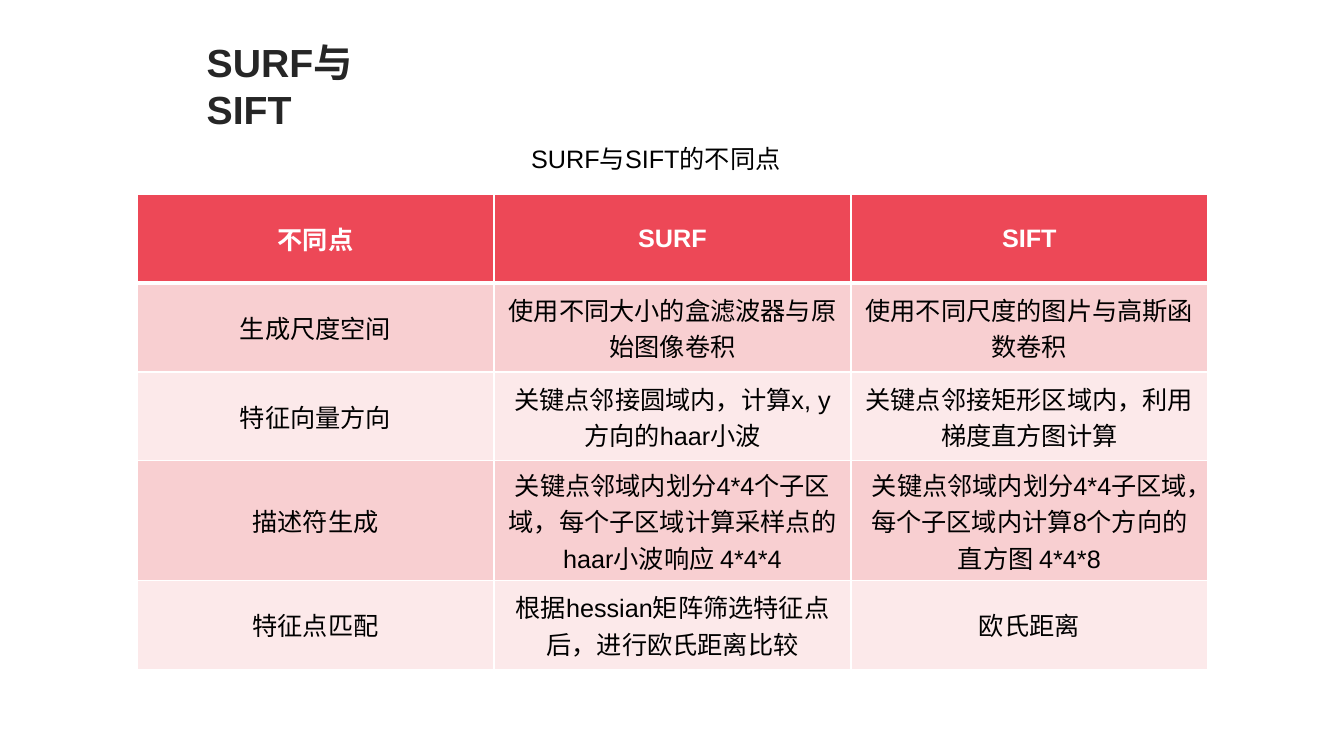
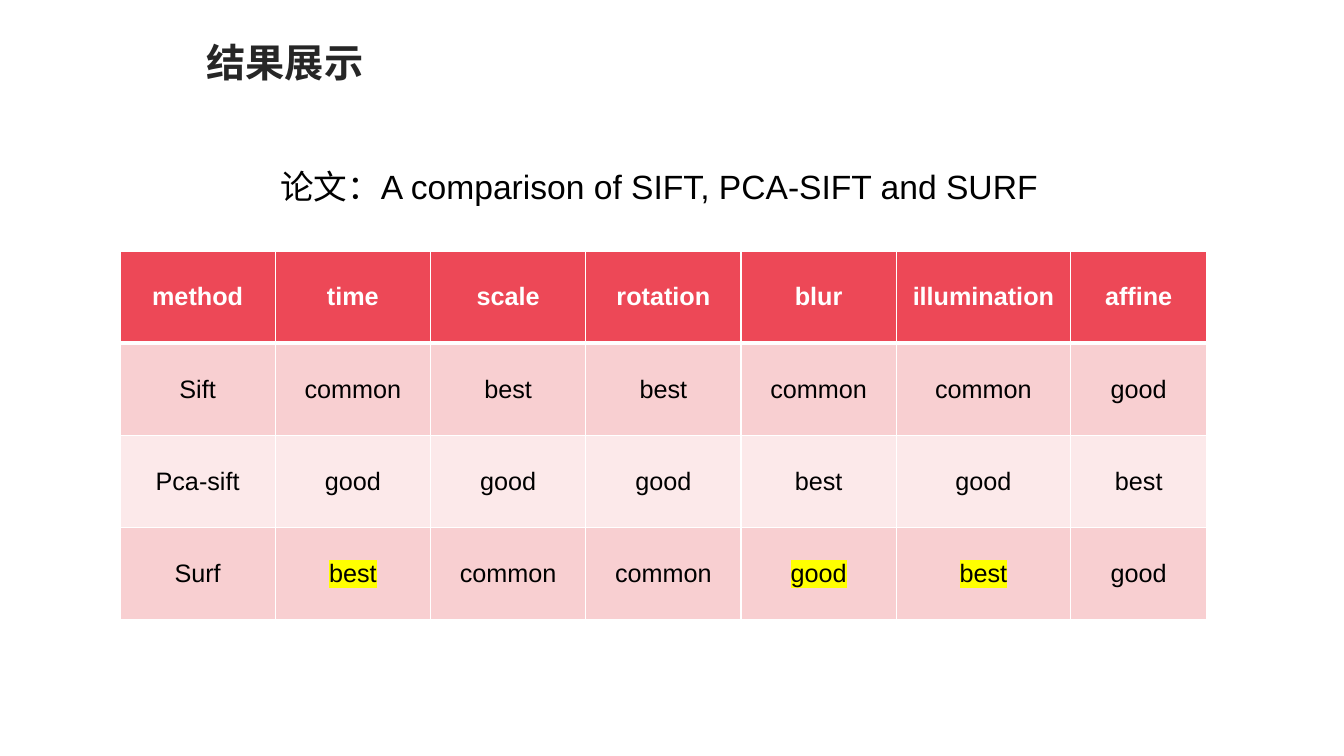
from dataclasses import dataclass

from lxml import etree
from pptx import Presentation
from pptx.dml.color import RGBColor
from pptx.enum.lang import MSO_LANGUAGE_ID
from pptx.enum.text import MSO_ANCHOR, MSO_AUTO_SIZE, PP_ALIGN
from pptx.oxml.ns import qn
from pptx.util import Inches, Pt

LEFT, CENTER = PP_ALIGN.LEFT, PP_ALIGN.CENTER
TOP, MIDDLE = MSO_ANCHOR.TOP, MSO_ANCHOR.MIDDLE
NO_FIT = MSO_AUTO_SIZE.NONE
CHINESE = MSO_LANGUAGE_ID.SIMPLIFIED_CHINESE
TITLE_ONLY = 5


@dataclass(frozen=True)
class Theme:
    font: str = "Arial"
    title_ink: str = "262626"
    ink: str = "000000"
    white: str = "FFFFFF"
    header: str = "ED4857"
    bands: tuple = ("F8CFD1", "FCE9EA")
    marker: str = "FFFF00"
    title_size: int = 28
    paper_size: int = 24
    body_size: int = 18
    thin: int = 1
    thick: int = 3


THEME = Theme()
TITLE_BOX = (1.95, 0.33, 1.77, 1.05)

DIFFERENCES = [
    ["不同点", "SURF", "SIFT"],
    ["生成尺度空间", "使用不同大小的盒滤波器与原始图像卷积",
     "使用不同尺度的图片与高斯函数卷积"],
    ["特征向量方向", "关键点邻接圆域内，计算x, y方向的haar小波",
     "关键点邻接矩形区域内，利用梯度直方图计算"],
    ["描述符生成", "关键点邻域内划分4*4个子区域，每个子区域计算采样点的haar小波响应 4*4*4",
     "关键点邻域内划分4*4子区域，每个子区域内计算8个方向的直方图 4*4*8"],
    ["特征点匹配", "根据hessian矩阵筛选特征点后，进行欧氏距离比较", "欧氏距离"],
]
RESULTS = [
    ["method", "time", "scale", "rotation", "blur", "illumination", "affine"],
    ["Sift", "common", "best", "best", "common", "common", "good"],
    ["Pca-sift", "good", "good", "good", "best", "good", "best"],
    ["Surf", "best", "common", "common", "good", "best", "good"],
]
HIGHLIGHTED = {(3, 1), (3, 4), (3, 5)}


def write(frame, text, size, color, bold=False, align=LEFT):
    """Fill a text frame with one formatted run and return the run."""
    para = frame.paragraphs[0]
    para.alignment = align
    span = para.add_run()
    span.text = text
    formats = {"name": THEME.font, "size": Pt(size), "bold": bold,
               "language_id": CHINESE}
    for name, value in formats.items():
        setattr(span.font, name, value)
    span.font.color.rgb = RGBColor.from_string(color)
    return span


def set_frame(frame):
    for name, value in {"word_wrap": True, "auto_size": NO_FIT,
                        "vertical_anchor": TOP,
                        "margin_left": Inches(0.1), "margin_right": Inches(0.1),
                        "margin_top": Inches(0.05),
                        "margin_bottom": Inches(0.05)}.items():
        setattr(frame, name, value)


def add_title(page, text):
    title = page.shapes.title
    for name, value in zip(("left", "top", "width", "height"), TITLE_BOX):
        setattr(title, name, Inches(value))
    set_frame(title.text_frame)
    write(title.text_frame, text, THEME.title_size, THEME.title_ink, bold=True)


def add_caption(page, box, text, size):
    caption = page.shapes.add_textbox(*map(Inches, box))
    set_frame(caption.text_frame)
    write(caption.text_frame, text, size, THEME.ink)


def add_color(parent, color):
    etree.SubElement(parent, qn("a:srgbClr"), val=color)


def set_borders(cell, row):
    """White rules, heavier between the header and the body."""
    heavy = {(0, "B"), (1, "T")}
    properties = cell._tc.get_or_add_tcPr()
    for side in "LRTB":
        width = THEME.thick if (row, side) in heavy else THEME.thin
        line = etree.SubElement(properties, qn(f"a:ln{side}"), w=str(Pt(width)))
        add_color(etree.SubElement(line, qn("a:solidFill")), THEME.white)


def highlight(span):
    marker = etree.Element(qn("a:highlight"))
    add_color(marker, THEME.marker)
    span._r.get_or_add_rPr().find(qn("a:solidFill")).addnext(marker)


def add_grid(page, origin, rows, widths, heights, marked=()):
    left, top = origin
    box = (left, top, sum(widths), sum(heights))
    table = page.shapes.add_table(len(rows), len(widths),
                                  *map(Inches, box)).table
    table.horz_banding = False
    for column, width in zip(table.columns, widths):
        column.width = Inches(width)
    for line, height in zip(table.rows, heights):
        line.height = Inches(height)
    for row, texts in enumerate(rows):
        is_header = row == 0
        fill = THEME.header if is_header else THEME.bands[(row - 1) % 2]
        ink = THEME.white if is_header else THEME.ink
        for column, text in enumerate(texts):
            cell = table.cell(row, column)
            cell.vertical_anchor = MIDDLE
            set_borders(cell, row)
            cell.fill.solid()
            cell.fill.fore_color.rgb = RGBColor.from_string(fill)
            span = write(cell.text_frame, text, THEME.body_size, ink,
                         is_header, CENTER)
            if (row, column) in marked:
                highlight(span)


def add_page(deck, title):
    page = deck.slides.add_slide(deck.slide_layouts[TITLE_ONLY])
    add_title(page, title)
    return page


def differences_slide(deck):
    page = add_page(deck, "SURF与SIFT")
    # Comparison table
    add_grid(page, (1.36, 1.93), DIFFERENCES, [3.54] * 3,
             [0.88, 0.88, 0.88, 1.19, 0.88])
    # Table caption
    add_caption(page, (5.17, 1.37, 2.99, 0.46), "SURF与SIFT的不同点",
                THEME.body_size)


def results_slide(deck):
    page = add_page(deck, "结果展示")
    # Ratings, with the strong points of the last method marked
    add_grid(page, (1.19, 2.49), RESULTS, [1.54] * 5 + [1.73, 1.35],
             [3.66 / 4] * 4, HIGHLIGHTED)
    # Cited paper
    add_caption(page, (2.68, 1.6, 7.97, 0.58),
                "论文：A comparison of SIFT, PCA-SIFT and SURF",
                THEME.paper_size)


def main():
    deck = Presentation()
    deck.slide_width, deck.slide_height = Inches(13.33), Inches(7.5)
    differences_slide(deck)
    results_slide(deck)
    deck.save("out.pptx")


if __name__ == "__main__":
    main()
